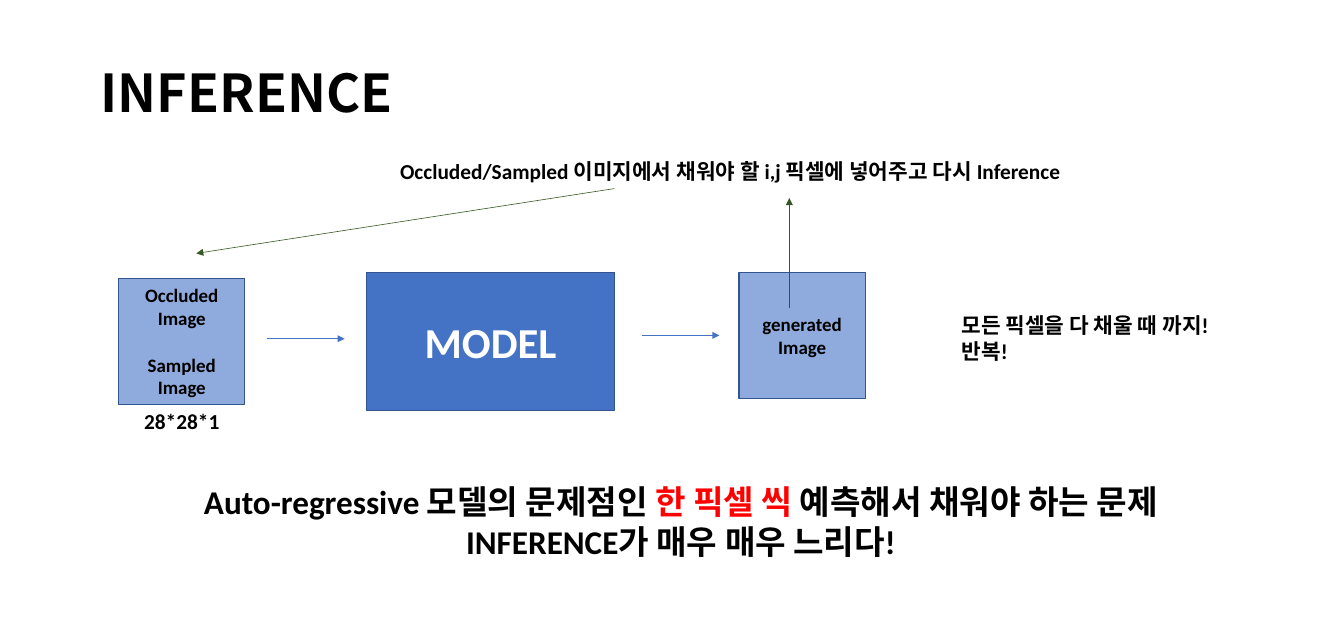
from lxml.etree import SubElement
from pptx import Presentation
from pptx.dml.color import RGBColor
from pptx.enum.shapes import MSO_CONNECTOR as CONN, MSO_SHAPE as SHAPE
from pptx.enum.text import MSO_ANCHOR as ANCHOR, MSO_AUTO_SIZE as AUTO, PP_ALIGN as ALIGN
from pptx.oxml.ns import qn
from pptx.util import Pt

PX = 9144
LATIN, KOREAN = "Calibri", "Noto Sans CJK KR"
COLORS = {
    "black": "000000",
    "white": "FFFFFF",
    "red": "FF0000",
    "blue": "4472C4",
    "light": "8FAADC",
    "border": "325491",
    "green": "385723",
}


def px(*lengths):
    return [n * PX for n in lengths]


def rgb(name):
    return RGBColor.from_string(COLORS[name])


def format_run(r, size, color="black", font=LATIN):
    r.font.size = Pt(size)
    r.font.bold = True
    r.font.name = font
    r.font.color.rgb = rgb(color)
    SubElement(r._r.get_or_add_rPr(), qn("a:ea"), typeface=KOREAN)


def fill_text(tf, text, size, color="black", align=ALIGN.LEFT):
    tf.word_wrap = True
    tf.text = text
    for p in tf.paragraphs:
        p.alignment = align
        for r in p.runs:
            format_run(r, size, color)


def add_title(s, text):
    sp = s.shapes.title
    sp.left, sp.top, sp.width, sp.height = px(108, 40, 1358, 145)
    tf = sp.text_frame
    tf.text = text
    tf.auto_size = AUTO.NONE
    tf.vertical_anchor = ANCHOR.MIDDLE
    p = tf.paragraphs[0]
    p.alignment = ALIGN.LEFT
    p.line_spacing = 0.9
    format_run(p.runs[0], 44, font=KOREAN)


def add_box(s, at, text, size, fill="light", color="black"):
    sp = s.shapes.add_shape(SHAPE.RECTANGLE, *px(*at))
    sp.shadow.inherit = False
    sp.fill.solid()
    sp.fill.fore_color.rgb = rgb(fill)
    sp.line.color.rgb = rgb("border")
    sp.line.width = Pt(1)
    sp.text_frame.vertical_anchor = ANCHOR.MIDDLE
    fill_text(sp.text_frame, text, size, color, ALIGN.CENTER)
    return sp


def add_label(s, at, text, size=18, align=ALIGN.LEFT):
    sp = s.shapes.add_textbox(*px(*at))
    fill_text(sp.text_frame, text, size, align=align)
    return sp


def add_arrow(s, start, end, color):
    cn = s.shapes.add_connector(CONN.STRAIGHT, *px(*start, *end))
    cn.line.color.rgb = rgb(color)
    cn.line.width = Pt(0.5)
    SubElement(cn.line._get_or_add_ln(), qn("a:tailEnd"), type="triangle")
    SubElement(cn._element.spPr, qn("a:effectLst"))


def add_conclusion(s):
    sp = add_label(s, (188, 559, 1220, 104),
                   "\nINFERENCE가 매우 매우 느리다!", 28, ALIGN.CENTER)
    p = sp.text_frame.paragraphs[0]
    for text, color in (("Auto-regressive 모델의 문제점인 ", "black"),
                        ("한 픽셀 씩 ", "red"),
                        ("예측해서 채워야 하는 문제", "black")):
        r = p.add_run()
        r.text = text
        format_run(r, 28, color)


def main():
    prs = Presentation()
    prs.slide_width, prs.slide_height = px(1575, 750)
    s = prs.slides.add_slide(prs.slide_layouts[5])
    add_title(s, "INFERENCE")

    inputs = add_box(s, (139, 326, 148, 148), "Occluded Image\nSampled\nImage", 16)
    inputs.text_frame.paragraphs[1].space_before = Pt(20)
    add_label(s, (139, 474, 148, 40), "28*28*1", align=ALIGN.CENTER)
    add_box(s, (430, 319, 290, 162), "MODEL", 36, "blue", "white")
    add_box(s, (866, 319, 148, 148), "generated\nImage", 16)

    add_arrow(s, (313, 397), (404, 397), "blue")
    add_arrow(s, (752, 393), (843, 393), "blue")
    add_arrow(s, (925, 361), (925, 232), "green")
    add_arrow(s, (720, 221), (230, 297), "green")

    add_label(s, (459, 181, 850, 40),
              "Occluded/Sampled 이미지에서 채워야 할 i,j 픽셀에 넣어주고 다시 Inference")
    add_label(s, (1117, 361, 335, 71), "모든 픽셀을 다 채울 때 까지!\n반복!")
    add_conclusion(s)
    prs.save("out.pptx")


if __name__ == "__main__":
    main()
